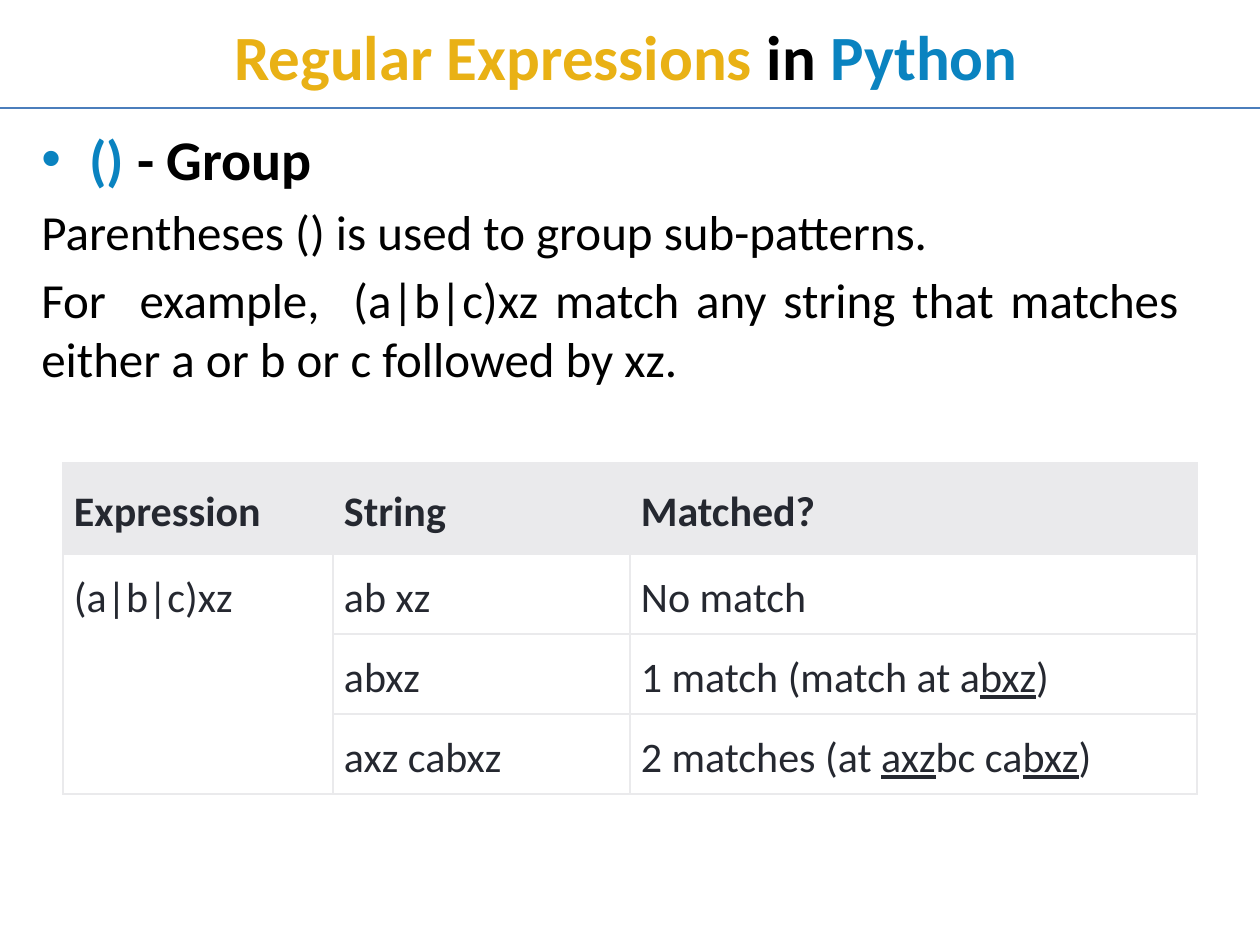
from lxml.etree import SubElement
from pptx import Presentation
from pptx.dml.color import RGBColor
from pptx.enum.shapes import MSO_CONNECTOR
from pptx.enum.text import MSO_ANCHOR, PP_ALIGN
from pptx.oxml.ns import qn
from pptx.util import Emu, Pt

# Colours
GOLD = RGBColor(0xE9, 0xB1, 0x15)
BLUE = RGBColor(0x0A, 0x83, 0xC0)
BLACK = RGBColor(0, 0, 0)
RULE = RGBColor(0x4B, 0x7E, 0xBC)
INK = RGBColor(0x25, 0x28, 0x30)
GREY = RGBColor(0xEA, 0xEA, 0xEC)
WHITE = RGBColor(0xFF, 0xFF, 0xFF)

# Content: a span is (text, colour) or, in the table, (text, underlined)
TITLE = [("Regular Expressions ", GOLD), ("in ", BLACK), ("Python", BLUE)]
HEADING = [("() ", BLUE), ("- Group", BLACK)]
BODY = [
    "Parentheses () is used to group sub-patterns. ",
    "For  example,  (a|b|c)xz match any string that matches "
    "either a or b or c followed by xz.",
]
ROWS = [
    [[("Expression", False)], [("String", False)], [("Matched?", False)]],
    [[("(a|b|c)xz", False)], [("ab xz", False)], [("No match", False)]],
    [[], [("abxz", False)],
     [("1 match (match at a", False), ("bxz", True), (")", False)]],
    [[], [("axz cabxz", False)],
     [("2 matches (at ", False), ("axz", True), ("bc ca", False),
       ("bxz", True), (")", False)]],
]

# Layout in px
SCALE = 914400 // 126
PAGE_SIZE = (1260, 945)
TITLE_BOX = (59, 0, 1134, 110)
BODY_BOX = (29, 118, 1162, 827)
RULE_Y = 108
TABLE_AT = (63, 463)
COLUMN_WIDTHS = [270, 297, 567]
ROW_HEIGHTS = [91, 80, 80, 80]
BULLET_INDENT = 48


def px(value):
    return Emu(value * SCALE)


def apply(target, values):
    for name, value in values.items():
        setattr(target, name, value)


def place(shape, box):
    apply(shape, dict(zip(("left", "top", "width", "height"), map(px, box))))


def add_span(para, text, color, **font):
    span = para.add_run()
    span.text = text
    apply(span.font, {"name": "Calibri", **font})
    span.font.color.rgb = color


def add_bullet(para):
    props = para._p.get_or_add_pPr()
    props.set("marL", str(px(BULLET_INDENT)))
    props.set("indent", str(-px(BULLET_INDENT)))
    SubElement(props, qn("a:buFont"), typeface="Arial")
    SubElement(props, qn("a:buChar"), char="•")


def add_borders(cell, color):
    props = cell._tc.get_or_add_tcPr()
    for side in ("lnL", "lnR", "lnT", "lnB"):
        line = SubElement(props, qn(f"a:{side}"), w=str(Pt(1)))
        fill = SubElement(line, qn("a:solidFill"))
        SubElement(fill, qn("a:srgbClr"), val=str(color))


deck = Presentation()
deck.slide_width, deck.slide_height = map(px, PAGE_SIZE)
page = deck.slides.add_slide(deck.slide_layouts[5])

# Title
title = page.shapes.title
place(title, TITLE_BOX)
title.text_frame.vertical_anchor = MSO_ANCHOR.MIDDLE
para = title.text_frame.paragraphs[0]
para.alignment = PP_ALIGN.CENTER
for text, color in TITLE:
    add_span(para, text, color, size=Pt(36), bold=True)

# Heading and explanation
box = page.shapes.add_textbox(*map(px, BODY_BOX))
box.text_frame.word_wrap = True
para = box.text_frame.paragraphs[0]
para.space_before = Pt(6.4)
add_bullet(para)
for text, color in HEADING:
    add_span(para, text, color, size=Pt(32), bold=True)
for text in BODY:
    para = box.text_frame.add_paragraph()
    apply(para, {"alignment": PP_ALIGN.JUSTIFY, "space_before": Pt(5.6)})
    add_span(para, text, BLACK, size=Pt(28), bold=False)

# Rule under the title
rule = page.shapes.add_connector(
    MSO_CONNECTOR.STRAIGHT, 0, px(RULE_Y), px(PAGE_SIZE[0]), px(RULE_Y))
rule.line.color.rgb = RULE
rule.line.width = Pt(0.75)
SubElement(rule._element.spPr, qn("a:effectLst"))

# Table of matches
table = page.shapes.add_table(
    len(ROWS), len(COLUMN_WIDTHS), *map(px, TABLE_AT),
    px(sum(COLUMN_WIDTHS)), px(sum(ROW_HEIGHTS))).table
apply(table, {"first_row": False, "horz_banding": False})
for column, width in zip(table.columns, COLUMN_WIDTHS):
    column.width = px(width)
for r, (row, height) in enumerate(zip(ROWS, ROW_HEIGHTS)):
    table.rows[r].height = px(height)
    header = r == 0
    top, bottom = (16, 15) if header else (11, 10)
    for c, spans in enumerate(row):
        cell = table.cell(r, c)
        apply(cell, {"margin_left": px(11), "margin_right": px(9),
                     "margin_top": px(top), "margin_bottom": px(bottom)})
        add_borders(cell, GREY)
        cell.fill.solid()
        cell.fill.fore_color.rgb = GREY if header else WHITE
        para = cell.text_frame.paragraphs[0]
        para.line_spacing = 1.15
        for text, underlined in spans:
            add_span(para, text, INK, size=Pt(24), bold=header,
                     underline=underlined)
table.cell(1, 0).merge(table.cell(len(ROWS) - 1, 0))

deck.save("out.pptx")
